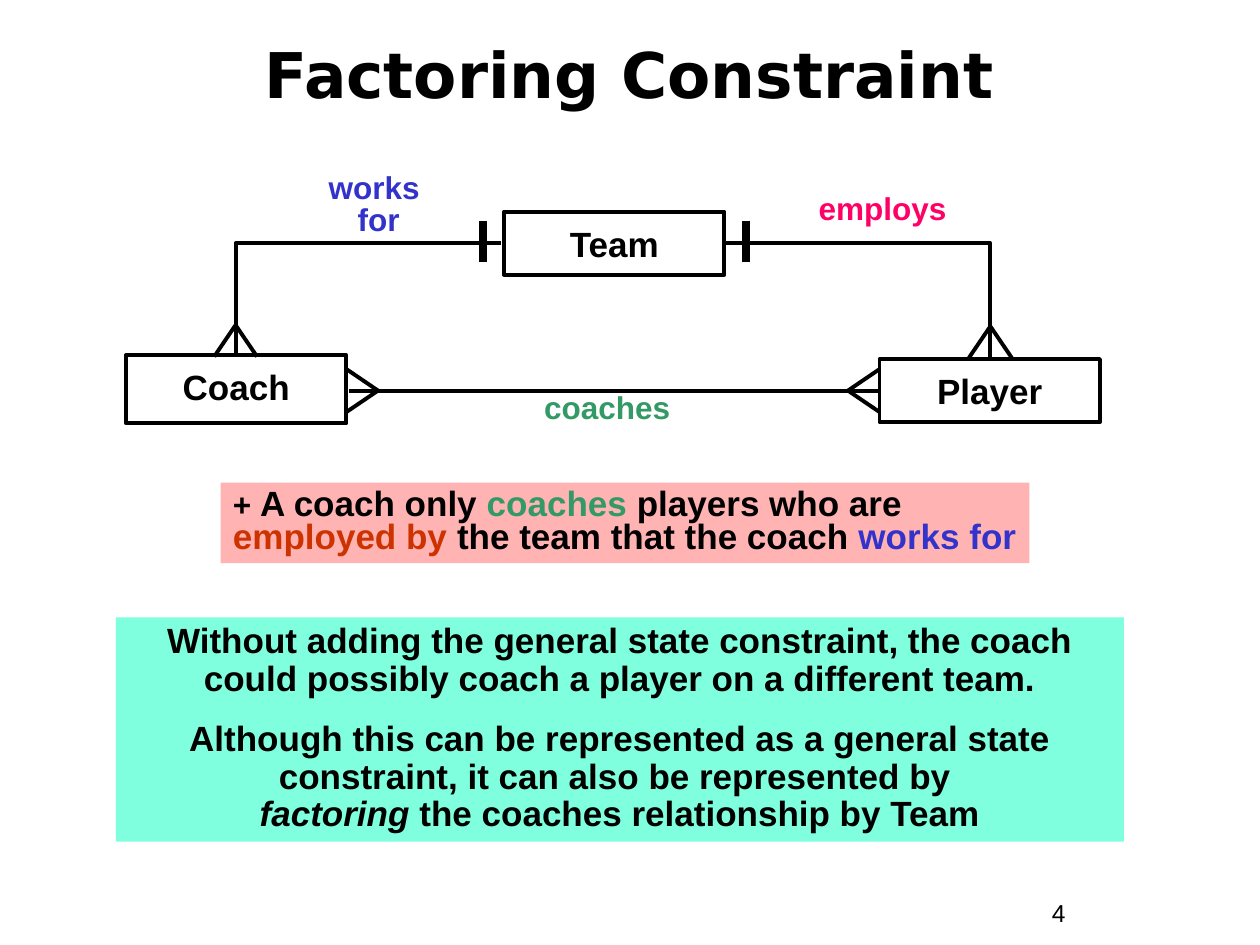
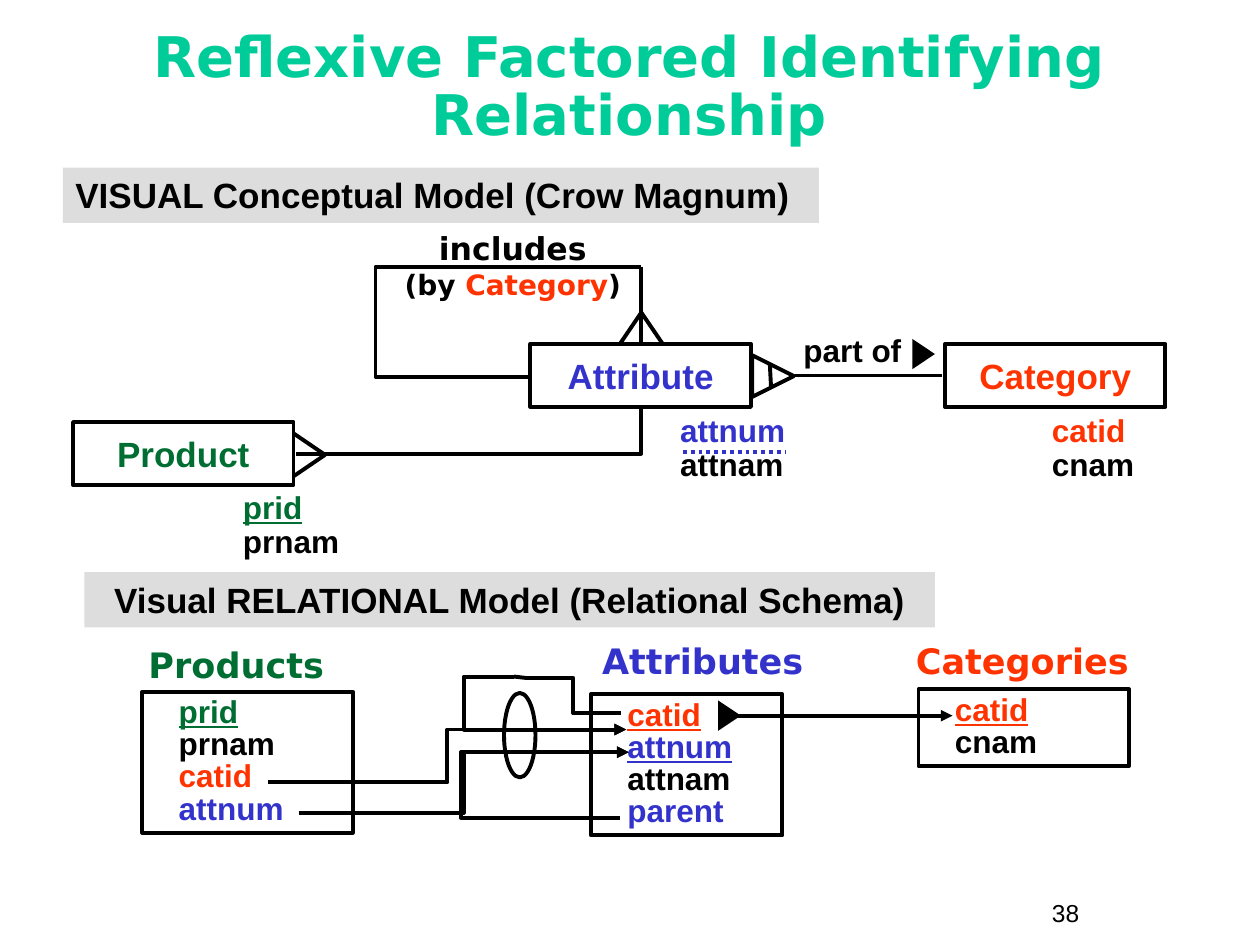
import copy

import pptx
import pptx.dml.color
import pptx.enum.dml
import pptx.enum.shapes
import pptx.enum.text
import pptx.oxml
import pptx.oxml.ns
import pptx.util

PX = 9144  # 100 px to the inch
C = {"black": "000000", "blue": "3333CC", "pink": "FF0066", "sea": "339966",
     "rust": "CC3300", "red": "FF3300", "green": "006E32", "mint": "00CC99",
     "rose_fill": "FFB3B3", "mint_fill": "7FFFDD", "grey_fill": "DDDDDD"}
SANS, HEAD = "Arial", "DejaVu Sans"
SHAPE = pptx.enum.shapes.MSO_SHAPE
ALIGN = {"l": pptx.enum.text.PP_ALIGN.LEFT, "c": pptx.enum.text.PP_ALIGN.CENTER}
ANCHOR = {"t": pptx.enum.text.MSO_ANCHOR.TOP, "m": pptx.enum.text.MSO_ANCHOR.MIDDLE}
UNDER = {"underline": True}
qn = pptx.oxml.ns.qn
rgb = {name: pptx.dml.color.RGBColor.from_string(h) for name, h in C.items()}


def box(s, at, paras=(), kind=None, fill=None, line=None, size=18, font=SANS, bold=True,
        align="l", anchor="t", spacing=1.0, before=0, indent=0):
    """Add a shape, or a text box when kind is None.

    Each paragraph is a list of (text, colour, font settings); "\\n" is a line break.
    """
    at = [v * PX for v in at]
    if kind is None:
        sp = s.shapes.add_textbox(*at)
    else:
        sp = s.shapes.add_shape(kind, *at)
        sp.shadow.inherit = False
        if fill:
            sp.fill.solid()
            sp.fill.fore_color.rgb = rgb[fill]
        else:
            sp.fill.background()
        if line:
            sp.line.color.rgb = rgb[line]
            sp.line.width = pptx.util.Pt(2.25)
        else:
            sp.line.fill.background()
    tf = sp.text_frame
    tf.word_wrap = True
    tf.vertical_anchor = ANCHOR[anchor]
    for i, runs in enumerate(paras):
        p = tf.add_paragraph() if i else tf.paragraphs[0]
        p.alignment = ALIGN[align]
        p.line_spacing = spacing
        if i and before:
            p.space_before = pptx.util.Pt(before)
        if indent:
            p._p.get_or_add_pPr().set("marL", str(indent * PX))
        for text, color, *settings in runs:
            if text == "\n":
                p.add_line_break()
                continue
            r = p.add_run()
            r.text = text
            r.font.name, r.font.size, r.font.bold = font, pptx.util.Pt(size), bold
            r.font.color.rgb = rgb[color]
            for name, value in (settings[0] if settings else {}).items():
                setattr(r.font, name, value)
        for br in p._p.findall(qn("a:br")):
            br.append(copy.deepcopy(p.runs[0]._r.rPr))
    return sp


def line(s, x1, y1, x2, y2, via=None, color="black", width=2.25, arrow=False, dash=None):
    """Add a straight line, or an elbow whose upright part stands at x = via."""
    kinds = pptx.enum.shapes.MSO_CONNECTOR
    kind = kinds.STRAIGHT if via is None else kinds.ELBOW
    cx = s.shapes.add_connector(kind, x1 * PX, y1 * PX, x2 * PX, y2 * PX)
    cx.line.color.rgb = rgb[color]
    cx.line.width = pptx.util.Pt(width)
    if dash:
        cx.line.dash_style = dash
    sp_pr = cx._element.spPr
    if via is not None:
        gd = pptx.oxml.parse_xml(f'<a:gd {pptx.oxml.ns.nsdecls("a")} name="adj1"/>')
        gd.set("fmla", f"val {round(100000 * (via - x1) / (x2 - x1))}")
        sp_pr.find(".//" + qn("a:avLst")).append(gd)
    if arrow:
        sp_pr.find(qn("a:ln")).append(pptx.oxml.parse_xml(
            f'<a:tailEnd {pptx.oxml.ns.nsdecls("a")} type="triangle"/>'))
    sp_pr.append(pptx.oxml.parse_xml(f'<a:effectLst {pptx.oxml.ns.nsdecls("a")}/>'))


prs = pptx.Presentation()
prs.slide_width, prs.slide_height = 1000 * PX, 750 * PX

# Title, page number, entity boxes and crow's feet of each slide
SLIDES = [
    dict(title="Factoring Constraint", color="black", size=36, spacing=1.0,
         at=(33, 17, 933, 83), page="4",
         entities=[("Coach", "black", (100, 282, 175, 54)),
                   ("Team", "black", (400, 168, 175, 50)),
                   ("Player", "black", (698, 285, 175, 50))],
         feet=[(673, 310, 25, 0), (300, 310, -25, 0), (786, 259, 0, 25), (187, 258, 0, 25)]),
    dict(title="Reflexive Factored Identifying Relationship", color="mint", size=32,
         spacing=0.85, at=(33, 25, 933, 92), page="38",
         entities=[("Product", "green", (58, 335, 175, 50)),
                   ("Category", "red", (750, 273, 175, 50)),
                   ("Attribute", "blue", (421, 273, 175, 50))],
         feet=[(258, 361, -25, 0), (509, 248, 0, 25)]),
]
for d in SLIDES:
    s = prs.slides.add_slide(prs.slide_layouts[5])
    title = s.shapes.title
    title.left, title.top, title.width, title.height = [v * PX for v in d["at"]]
    tf = title.text_frame
    tf.text = d["title"]
    tf.word_wrap = True
    tf.auto_size = pptx.enum.text.MSO_AUTO_SIZE.NONE
    tf.vertical_anchor = ANCHOR["m"]
    p = tf.paragraphs[0]
    p.alignment = ALIGN["c"]
    p.line_spacing = d["spacing"]
    f = p.runs[0].font
    f.name, f.size, f.bold = HEAD, pptx.util.Pt(d["size"]), True
    f.color.rgb = rgb[d["color"]]
    box(s, (825, 708, 92, 34), [[(d["page"], "black")]], size=14, bold=False)
    for name, color, at in d["entities"]:
        box(s, at, [[(name, color)]], SHAPE.RECTANGLE, line="black", size=20,
            align="c", anchor="m", spacing=0.85 if name == "Coach" else 1.0)
    for x, y, dx, dy in d["feet"]:
        for side in (-17, 17):
            line(s, x, y, x + (dx or side), y + (dy or side))

# Slide 1: team, coach and player
s = prs.slides[0]
line(s, 187, 281, 398, 193, via=187)
line(s, 575, 193, 786, 283, via=786)
line(s, 277, 310, 697, 310)
for x in (383, 592):
    line(s, x, 175, x, 208, width=4.5)
for at, runs in [
    ((217, 133, 167, 61), [("works ", "blue"), ("\n", "blue"), ("for", "blue")]),
    ((617, 150, 167, 36), [("employs", "pink")]),
    ((389, 308, 186, 36), [("coaches", "sea")]),
]:
    box(s, at, [runs], align="c", spacing=0.85)
box(s, (175, 383, 642, 64),
    [[("+ ", "black", {"size": pptx.util.Pt(18)}), ("A coach only ", "black"),
      ("coaches", "sea"), (" players who are ", "black"), ("employed by", "rust"),
      (" the team that the coach ", "black"), ("works for", "blue")]],
    SHAPE.RECTANGLE, fill="rose_fill", size=20, anchor="m", spacing=0.8)
box(s, (92, 490, 800, 178),
    [[("Without adding the general state constraint, the coach could possibly coach "
       "a player on a different team.", "black")],
     [("Although this can be represented as a general state constraint, it can also "
       "be represented by ", "black"), ("\n", "black"),
      ("factoring", "black", {"italic": True}),
      (" the coaches relationship by Team", "black")]],
    SHAPE.RECTANGLE, fill="mint_fill", size=20, align="c", spacing=0.9, before=12.5)

# Slide 2: conceptual model
s = prs.slides[1]
for at, text, align in [
    ((50, 133, 600, 44), "VISUAL Conceptual Model (Crow Magnum)", "l"),
    ((67, 454, 675, 44), "Visual RELATIONAL Model (Relational Schema)", "c"),
]:
    box(s, at, [[(text, "black")]], SHAPE.RECTANGLE, fill="grey_fill", size=20, align=align)
for at, key, name in [
    ((825, 325, 150, 64), ("catid", "red"), "cnam"),
    ((530, 325, 167, 64), ("attnum", "blue"), "attnam"),
    ((183, 386, 125, 64), ("prid", "green", UNDER), "prnam"),
]:
    box(s, at, [[key], [(name, "black")]], spacing=0.9)
line(s, 542, 359, 624, 359, color="blue", dash=pptx.enum.dml.MSO_LINE.ROUND_DOT)
line(s, 235, 360, 509, 325, via=509)
line(s, 748, 298, 631, 298)
line(s, 421, 299, 509, 212, via=298)
line(s, 509, 212, 509, 272)
box(s, (618, 258, 117, 40), [[("part of", "black")]], align="c")
box(s, (597, 282, 33, 33), kind=SHAPE.FLOWCHART_EXTRACT, line="black").rotation = 90
line(s, 611, 289, 612, 308)
for x, y in [(721, 272), (567, 559)]:
    box(s, (x, y, 24, 18), kind=SHAPE.ISOSCELES_TRIANGLE, fill="black").rotation = 90
small = {"size": pptx.util.Pt(16)}
box(s, (257, 175, 300, 70),
    [[("includes", "black"), ("\n", "black"), ("(by ", "black", small),
      ("Category", "red", small), (")", "black", small)]],
    font=HEAD, align="c", spacing=1.05)

# Slide 2: relational schema
for name, color, (x, y), at, columns in [
    ("Categories", "red", (717, 503), (729, 547, 167, 61),
     [("catid", "red", UNDER), ("cnam", "black")]),
    ("Attributes", "blue", (468, 503), (469, 551, 152, 112),
     [("catid", "red", UNDER), ("attnum", "blue", UNDER), ("attnam", "black"),
      ("parent", "blue")]),
    ("Products", "green", (108, 506), (113, 549, 167, 112),
     [("prid", "green", UNDER), ("prnam", "black"), ("catid", "red"), ("attnum", "blue")]),
]:
    box(s, (x, y, 215, 44), [[(name, color)]], size=20, font=HEAD)
    box(s, at, [[c] for c in columns], SHAPE.RECTANGLE, line="black", spacing=0.85, indent=19)
for x1, y1, x2, y2, via in [
    (213, 621, 497, 579, 355),
    (573, 568, 756, 568, None),
    (237, 645, 499, 597, 368),
    (408, 537, 497, 579, 368),
    (492, 649, 499, 597, 366),
]:
    line(s, x1, y1, x2, y2, via=via, arrow=True)
line(s, 417, 538, 493, 566, via=455)
line(s, 408, 537, 417, 538)
box(s, (400, 550, 25, 67), kind=SHAPE.OVAL, line="black")

prs.save("out.pptx")
